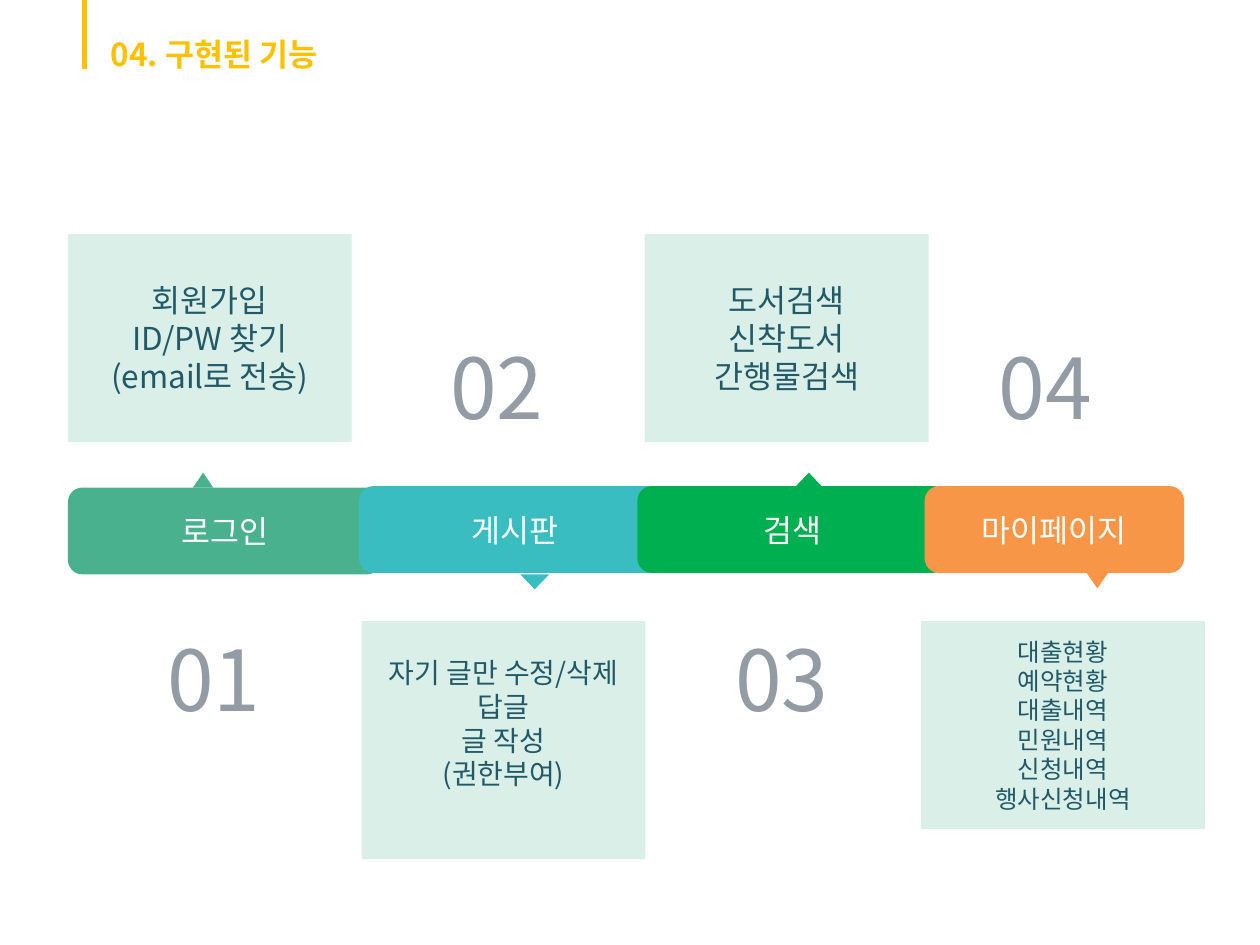
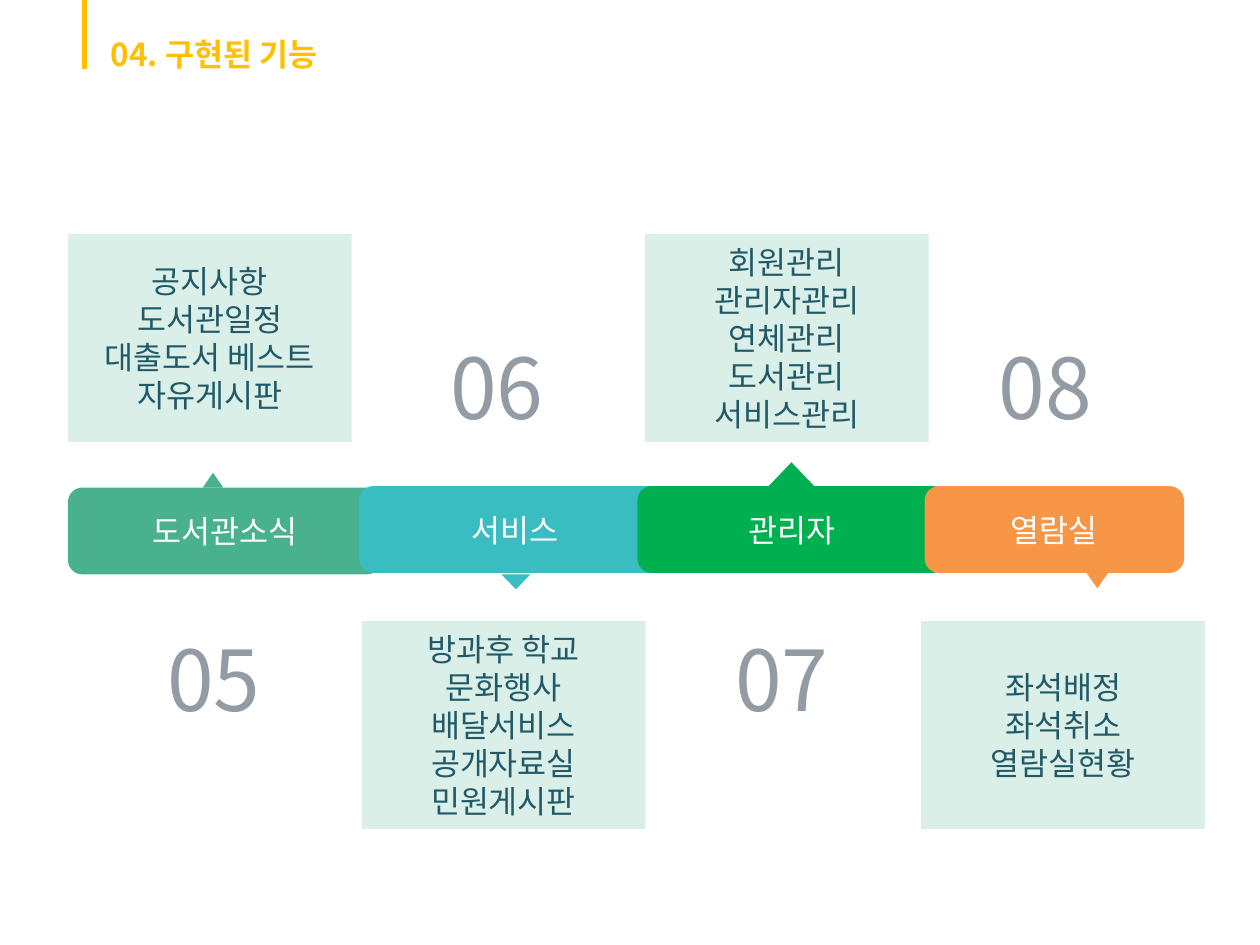
from dataclasses import dataclass

from lxml import etree
from pptx import Presentation
from pptx.dml.color import RGBColor
from pptx.enum.shapes import MSO_CONNECTOR, MSO_SHAPE
from pptx.enum.text import MSO_ANCHOR, MSO_AUTO_SIZE, PP_ALIGN
from pptx.oxml.ns import qn
from pptx.util import Cm, Pt

RECT, ROUND_RECT = MSO_SHAPE.RECTANGLE, MSO_SHAPE.ROUNDED_RECTANGLE
TRIANGLE, STRAIGHT = MSO_SHAPE.ISOSCELES_TRIANGLE, MSO_CONNECTOR.STRAIGHT
TOP, MIDDLE = MSO_ANCHOR.TOP, MSO_ANCHOR.MIDDLE
LEFT, CENTER = PP_ALIGN.LEFT, PP_ALIGN.CENTER
FIT_SHAPE = MSO_AUTO_SIZE.SHAPE_TO_FIT_TEXT

GREEN = RGBColor(0x49, 0xB1, 0x8E)
TEAL = RGBColor(0x3A, 0xBD, 0xC0)
LEAF = RGBColor(0x00, 0xB0, 0x50)
ORANGE = RGBColor(0xF7, 0x96, 0x46)
MINT = RGBColor(0xBE, 0xE4, 0xD7)
DARK_TEAL = RGBColor(0x21, 0x59, 0x68)
GREY = RGBColor(0x93, 0x9B, 0xA5)
YELLOW = RGBColor(0xFF, 0xC0, 0x00)
WHITE = RGBColor(0xFF, 0xFF, 0xFF)

FONT = "Noto Sans CJK KR"
TITLE = "04. 구현된 기능"
BAR_HEIGHT = 1.75
CARD_SIZE = (5.72, 4.19)
NUMBER_SIZE = (2.62, 2.31)
UPPER_CARD_Y, UPPER_NUMBER_Y, LOWER_Y = 4.72, 6.63, 12.52


@dataclass
class Stage:
    bar: tuple
    colour: RGBColor
    card_dx: float
    number_dx: float
    pointer: tuple
    card_above: bool


STAGES = [
    Stage((1.37, 9.83, 6.32), GREEN, 0, 1.63, (0.41, 0.3), True),
    Stage((7.24, 9.8, 6.27), TEAL, 0.05, 1.47, (0.58, 0.3), False),
    Stage((12.85, 9.8, 6.25), LEAF, 0.15, 1.6, (1.07, 0.56), True),
    Stage((18.64, 9.8, 5.23), ORANGE, -0.07, 1.12, (0.46, 0.33), False),
]

SLIDES = [
    [
        dict(label="로그인", pointer=(2.52, -0.3),
             lines=["회원가입", "ID/PW 찾기", "(email로 전송)"]),
        dict(label="게시판", pointer=(3.25, 1.78), size=16, height=4.8, bottom=0.81,
             lines=["자기 글만 수정/삭제", "답글", "글 작성", "(권한부여)"]),
        dict(label="검색", pointer=(2.92, -0.27),
             lines=["도서검색", "신착도서", "간행물검색"]),
        dict(label="마이페이지", pointer=(3.25, 1.73), size=14,
             lines=["대출현황", "예약현황", "대출내역", "민원내역", "신청내역",
                    "행사신청내역"]),
    ],
    [
        dict(label="도서관소식", pointer=(2.72, -0.3),
             lines=["공지사항", "도서관일정", "대출도서 베스트", "자유게시판"]),
        dict(label="서비스", pointer=(2.87, 1.78),
             lines=["방과후 학교", "문화행사", "배달서비스", "공개자료실", "민원게시판"]),
        dict(label="관리자", pointer=(2.57, -0.48),
             lines=["회원관리", "관리자관리", "연체관리", "도서관리", "서비스관리"]),
        dict(label="열람실", pointer=(3.25, 1.73),
             lines=["좌석배정", "좌석취소", "열람실현황"]),
    ],
]


def apply(target, **values):
    for name, value in values.items():
        setattr(target, name, value)


def write(tf, lines, size, colour, align=CENTER, anchor=MIDDLE, bold=False):
    apply(tf, word_wrap=True, vertical_anchor=anchor)
    for i, line in enumerate(lines):
        p = tf.paragraphs[0] if i == 0 else tf.add_paragraph()
        p.alignment = align
        r = p.add_run()
        r.text = line
        apply(r.font, name=FONT, size=Pt(size), bold=bold)
        r.font.color.rgb = colour
        etree.SubElement(r.font._element, qn("a:ea"), typeface=FONT)


def add_block(s, kind, box, colour):
    sp = s.shapes.add_shape(kind, *map(Cm, box))
    sp.shadow.inherit = False
    sp.fill.solid()
    sp.fill.fore_color.rgb = colour
    sp.line.fill.background()
    return sp


def add_card(s, x, y, lines, size=18, height=CARD_SIZE[1], bottom=0.13):
    sp = add_block(s, RECT, (x, y, CARD_SIZE[0], height), MINT)
    solid = sp.fill._xPr.find(qn("a:solidFill"))
    etree.SubElement(solid[0], qn("a:alpha"), val="58000")
    sp.text_frame.margin_bottom = Cm(bottom)
    write(sp.text_frame, lines, size, DARK_TEAL)


def add_number(s, x, y, number):
    tf = s.shapes.add_textbox(*map(Cm, (x, y, *NUMBER_SIZE))).text_frame
    write(tf, [f"{number:02}"], 48, GREY, anchor=TOP)
    tf.auto_size = FIT_SHAPE


def add_stage(s, stage, number, label, pointer, **card):
    x, y, width = stage.bar
    sp = add_block(s, ROUND_RECT, (x, y, width, BAR_HEIGHT), stage.colour)
    write(sp.text_frame, [label], 18, WHITE)

    dx, dy = pointer
    tip = add_block(s, TRIANGLE, (x + dx, y + dy, *stage.pointer), stage.colour)
    tip.rotation = 0 if stage.card_above else 180

    card_y, number_y = (
        (UPPER_CARD_Y, LOWER_Y) if stage.card_above else (LOWER_Y, UPPER_NUMBER_Y)
    )
    add_number(s, x + stage.number_dx, number_y, number)
    add_card(s, x + stage.card_dx, card_y, **card)


def add_title(s, x, y, width, height):
    title = s.shapes.title
    apply(title, left=Cm(x), top=Cm(y), width=Cm(width), height=Cm(height))
    write(title.text_frame, [TITLE], 18, YELLOW, LEFT, TOP, True)
    apply(title.text_frame, word_wrap=False, auto_size=FIT_SHAPE)

    rule_x = Cm(x - 0.28)
    rule = s.shapes.add_connector(STRAIGHT, rule_x, 0, rule_x, Cm(1.4))
    rule.line.color.rgb = YELLOW
    rule.line.width = Pt(3)
    etree.SubElement(rule._element.spPr, qn("a:effectLst"))


def add_feature_slide(prs, features, first_number):
    s = prs.slides.add_slide(prs.slide_layouts[5])
    add_title(s, 1.98, 0.58, 5.08, 1.02)
    for i, (stage, feature) in enumerate(zip(STAGES, features)):
        add_stage(s, stage, first_number + i, **feature)


def main():
    prs = Presentation()
    prs.slide_width, prs.slide_height = Cm(25.4), Cm(19.05)
    for i, features in enumerate(SLIDES):
        add_feature_slide(prs, features, 1 + i * len(STAGES))
    prs.save("out.pptx")


if __name__ == "__main__":
    main()
